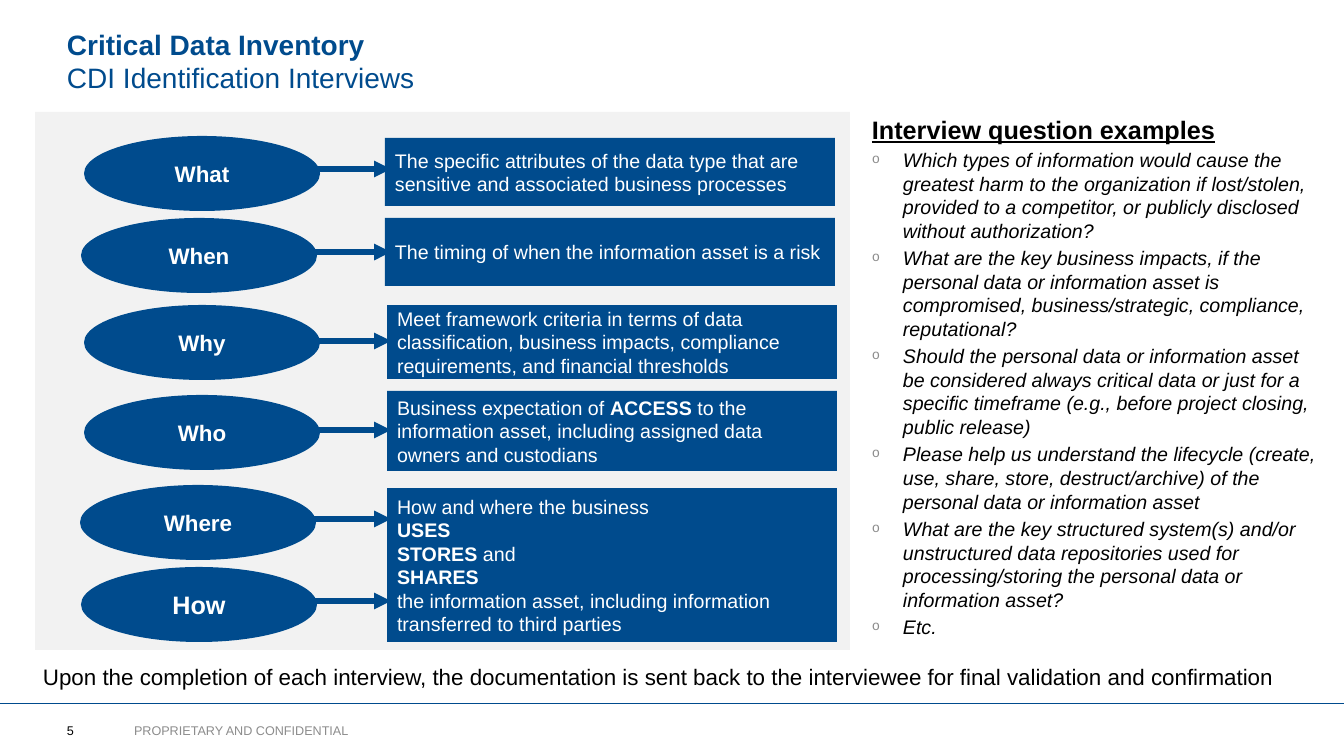
import lxml.etree
import pptx
import pptx.dml.color
import pptx.enum.shapes
import pptx.enum.text
import pptx.oxml.ns
import pptx.util

EMU_PER_PIXEL = 914400 / 100.8
COLORS = {"blue": "004B8D", "panel": "F2F2F2", "white": "FFFFFF", "black": "000000", "gray": "8C8C8C"}
SHAPE = pptx.enum.shapes.MSO_SHAPE
ANCHOR = pptx.enum.text.MSO_ANCHOR
ALIGN = pptx.enum.text.PP_ALIGN


def px(length):
    return round(length * EMU_PER_PIXEL)


def rgb(name):
    return pptx.dml.color.RGBColor.from_string(COLORS[name])


def add_xml(parent, tag, **attributes):
    return lxml.etree.SubElement(parent, pptx.oxml.ns.qn(tag), attributes)


class SlideBuilder:
    """Holds the current slide and its style."""

    font_name = "Arial"

    def __init__(self, slide):
        self.slide = slide

    def frame(self, shape, insets, anchor):
        frame = shape.text_frame
        frame.word_wrap = True
        frame.auto_size = pptx.enum.text.MSO_AUTO_SIZE.NONE
        frame.vertical_anchor = anchor
        frame.margin_left = frame.margin_right = px(insets[0])
        frame.margin_top = frame.margin_bottom = px(insets[1])
        return frame

    def paragraph(self, paragraph, text, size, color, align=ALIGN.LEFT, before=0, **style):
        """Write text in which *stars* enclose the bold words."""
        paragraph.alignment = align
        paragraph.space_before = pptx.util.Pt(before)
        font = paragraph.font
        font.name, font.size = self.font_name, pptx.util.Pt(size)
        font.color.rgb = rgb(color)
        for attribute, value in style.items():
            setattr(font, attribute, value)
        for position, words in enumerate(text.split("*")):
            for line_number, line in enumerate(words.split("\n")):
                if line_number:
                    paragraph.add_line_break()
                if line:
                    run = paragraph.add_run()
                    run.text = line
                    if position % 2:
                        run.font.bold = True

    def lines(self, frame, texts, *args, **style):
        for number, text in enumerate(texts):
            target = frame.add_paragraph() if number else frame.paragraphs[0]
            self.paragraph(target, text, *args, **style)

    def title(self, box, text, size):
        title = self.slide.shapes.title
        title.left, title.top, title.width, title.height = map(px, box)
        frame = self.frame(title, (0, 5), ANCHOR.TOP)
        self.paragraph(frame.paragraphs[0], text, size, "blue")

    def text(self, box, texts, size, color, insets=(9, 4), anchor=ANCHOR.TOP, **style):
        frame = self.frame(self.slide.shapes.add_textbox(*map(px, box)), insets, anchor)
        self.lines(frame, texts, size, color, **style)
        return frame

    def shape(self, kind, box, fill, texts=(), size=14, insets=(10, 0), **style):
        shape = self.slide.shapes.add_shape(kind, *map(px, box))
        shape.shadow.inherit = False
        shape.fill.solid()
        shape.fill.fore_color.rgb = rgb(fill)
        shape.line.fill.background()
        self.lines(self.frame(shape, insets, ANCHOR.MIDDLE), texts, size, "white", **style)

    def line(self, start, end, width, arrow=False):
        line = self.slide.shapes.add_connector(
            pptx.enum.shapes.MSO_CONNECTOR.STRAIGHT, *map(px, start + end))
        line.line.color.rgb = rgb("blue")
        line.line.width = pptx.util.Pt(width)
        if arrow:
            add_xml(line.line._get_or_add_ln(), "a:tailEnd", type="triangle")
        add_xml(line._element.spPr, "a:effectLst")

    def bullets(self, frame, texts, size, color, **style):
        for text in texts:
            item = frame.add_paragraph()
            self.paragraph(item, text, size, color, **style)
            properties = item._p.get_or_add_pPr()
            properties.set("marL", str(px(31)))
            properties.set("indent", str(-px(31)))
            bullet = [("a:buClr", {}), ("a:buSzPct", {"val": "70000"}),
                      ("a:buFont", {"typeface": "Courier New"}), ("a:buChar", {"char": "o"})]
            defaults = properties.find(pptx.oxml.ns.qn("a:defRPr"))
            for tag, attributes in bullet:
                element = add_xml(properties, tag, **attributes)
                if tag == "a:buClr":
                    add_xml(element, "a:srgbClr", val=COLORS["gray"])
                defaults.addprevious(element)


deck = pptx.Presentation()
deck.slide_width, deck.slide_height = px(1344), px(756)
page = SlideBuilder(deck.slides.add_slide(deck.slide_layouts[5]))

# Title and footer
page.title((67, 22, 1210, 95), "*Critical Data Inventory*\nCDI Identification Interviews", 20)
page.line((0, 703), (1344, 703), 0.5)
page.text((67, 718, 72, 25), ["5"], 9, "black", (0, 5), ANCHOR.BOTTOM)
page.text((134, 718, 316, 25), ["PROPRIETARY AND CONFIDENTIAL"], 9, "gray", (0, 5), ANCHOR.BOTTOM)

# Interview topics: name, left, top, arrow height, text size
page.shape(SHAPE.RECTANGLE, (35, 112, 815, 538), "panel")
topics = [
    ("What", 84, 136, 169, 16),
    ("When", 81, 218, 252, 16),
    ("Why", 84, 305, 341, 16),
    ("Who", 84, 395, 430, 16),
    ("Where", 80, 485, 519, 16),
    ("How", 81, 567, 601, 18),
]
for topic, left, top, arrow_y, size in topics:
    page.line((283, arrow_y), (391, arrow_y), 4, arrow=True)
    page.shape(SHAPE.OVAL, (left, top, 236, 75), "blue", [topic], size, (10, 5),
               align=ALIGN.CENTER, bold=True)

# Explanations: left, top, height, paragraphs
explanations = [
    (385, 138, 68, ["The specific attributes of the data type that are sensitive and "
                    "associated business processes"]),
    (385, 218, 68, ["The timing of when the information asset is a risk"]),
    (387, 305, 74, ["Meet framework criteria in terms of data classification, business impacts, "
                    "compliance requirements, and financial thresholds"]),
    (387, 391, 80, ["Business expectation of *ACCESS* to the information asset, including "
                    "assigned data owners and custodians"]),
    (387, 488, 154, ["How and where the business", "*USES*", "*STORES* and", "*SHARES*",
                     "the information asset, including information transferred to third parties"]),
]
for left, top, height, texts in explanations:
    page.shape(SHAPE.RECTANGLE, (left, top, 450, height), "blue", texts)

# Interview questions
questions = page.text((863, 110, 463, 538), ["Interview question examples"], 18, "black",
                      before=3.6, bold=True, underline=True)
page.bullets(questions, [
    "Which types of information would cause the greatest harm to the organization if lost/stolen, "
    "provided to a competitor, or publicly disclosed without authorization?",
    "What are the key business impacts, if the personal data or information asset is compromised, "
    "business/strategic, compliance, reputational?",
    "Should the personal data or information asset be considered always critical data or just for a "
    "specific timeframe (e.g., before project closing, public release)",
    "Please help us understand the lifecycle (create, use, share, store, destruct/archive) of the "
    "personal data or information asset",
    "What are the key structured system(s) and/or unstructured data repositories used for "
    "processing/storing the personal data or information asset?",
    "Etc.",
], 14, "black", before=2.8, italic=True)

# Closing remark
page.text((34, 659, 1290, 40), ["Upon the completion of each interview, the documentation is sent back "
                                "to the interviewee for final validation and confirmation"],
          16, "black", before=3.2)

deck.save("out.pptx")
